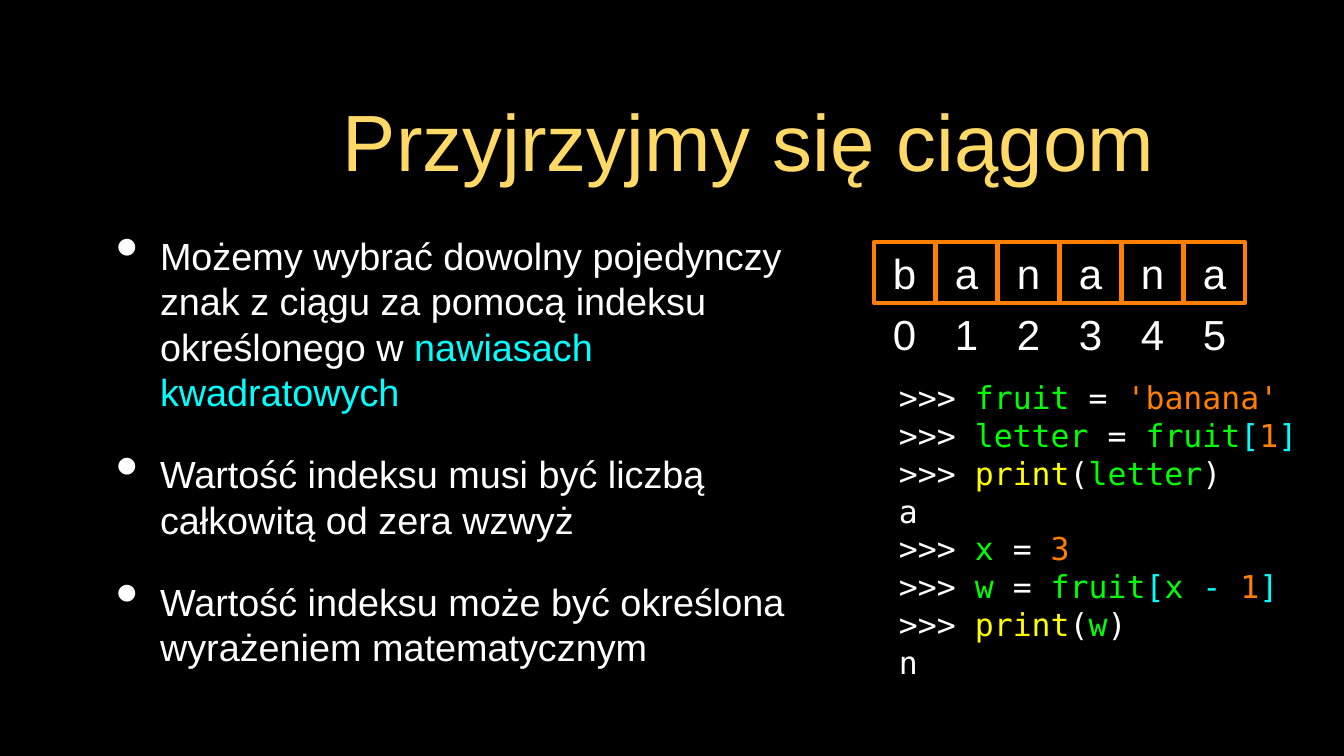
from lxml import etree
from pptx import Presentation
from pptx.dml.color import RGBColor
from pptx.enum.shapes import MSO_SHAPE
from pptx.enum.text import MSO_ANCHOR, PP_ALIGN
from pptx.oxml.ns import qn
from pptx.util import Pt

PX = 12095
LEFT, CENTER = PP_ALIGN.LEFT, PP_ALIGN.CENTER
MIDDLE = MSO_ANCHOR.MIDDLE
RECT = MSO_SHAPE.RECTANGLE
TITLE_ONLY = 5

SANS, MONO = "Arial", "DejaVu Sans Mono"
BLACK, WHITE, GOLD = "000000", "FFFFFF", "FFD966"
CYAN, GREEN, ORANGE, YELLOW = "00FFFF", "00FF00", "FF7F00", "FFFF00"

TITLE = "Przyjrzyjmy się ciągom"
POINTS = [
    [("Możemy wybrać dowolny pojedynczy znak z ciągu za pomocą indeksu określonego w", WHITE),
     (" nawiasach kwadratowych", CYAN)],
    [("Wartość indeksu musi być liczbą całkowitą od zera wzwyż", WHITE)],
    [("Wartość indeksu może być określona wyrażeniem matematycznym", WHITE)],
]
PROMPT, EQUALS = (">>> ", WHITE), (" = ", WHITE)
OPEN, CLOSE = ("(", WHITE), (")", WHITE)
PRINT, FRUIT = ("print", YELLOW), ("fruit", GREEN)
CODE = [
    [PROMPT, FRUIT, EQUALS, ("'banana'", ORANGE)],
    [PROMPT, ("letter", GREEN), EQUALS, FRUIT, ("[", CYAN), ("1", ORANGE), ("]", CYAN)],
    [PROMPT, PRINT, OPEN, ("letter", GREEN), CLOSE],
    [("a", WHITE)],
    [PROMPT, ("x", GREEN), EQUALS, ("3", ORANGE)],
    [PROMPT, ("w", GREEN), EQUALS, FRUIT, ("[", CYAN), ("x", GREEN), (" - ", CYAN),
     ("1", ORANGE), ("]", CYAN)],
    [PROMPT, PRINT, OPEN, ("w", GREEN), CLOSE],
    [("n", WHITE)],
]


def rgb(value):
    """Turn a hex string into a colour."""
    return RGBColor.from_string(value)


def px(*values):
    """Turn pixel lengths into EMU."""
    return [value * PX for value in values]


def add_bullet(p, hanging, indent):
    """Give a paragraph a large white bullet with a hanging indent."""
    pPr = p._p.get_or_add_pPr()
    pPr.set("marL", str(indent * PX))
    pPr.set("indent", str(-hanging * PX))
    clr = etree.SubElement(pPr, qn("a:buClr"))
    etree.SubElement(clr, qn("a:srgbClr"), val=WHITE)
    etree.SubElement(pPr, qn("a:buSzPct"), val="171000")
    etree.SubElement(pPr, qn("a:buChar"), char="•")


def write(sp, lines, size, font=SANS, align=LEFT, inset=0, leading=None, gap=0, bullet=False):
    """Fill a shape with lines made of (text, colour) runs."""
    tf = sp.text_frame
    tf.word_wrap = True
    tf.vertical_anchor = MIDDLE
    tf.margin_left = tf.margin_top = tf.margin_right = tf.margin_bottom = inset * PX
    for i, line in enumerate(lines):
        p = tf.add_paragraph() if i else tf.paragraphs[0]
        if bullet:
            add_bullet(p, 44, 62)
        p.alignment = align
        if leading:
            p.line_spacing = Pt(leading)
        if i and gap:
            p.space_before = Pt(gap)
        for text, color in line:
            r = p.add_run()
            r.text = text
            r.font.size = Pt(size)
            r.font.name = font
            r.font.color.rgb = rgb(color)


def add_title(s, x, y, w, h):
    """Place and format the title placeholder."""
    sp = s.shapes.title
    sp.left, sp.top, sp.width, sp.height = px(x, y, w, h)
    write(sp, [[(TITLE, GOLD)]], 76, align=CENTER, inset=3)


def add_points(s, x, y, w, h):
    """Add the bulleted explanation."""
    sp = s.shapes.add_textbox(*px(x, y, w, h))
    write(sp, POINTS, 36, inset=3, leading=43.2, gap=35, bullet=True)


def add_code(s, x, y, w, h):
    """Add the interpreter session."""
    sp = s.shapes.add_textbox(*px(x, y, w, h))
    write(sp, CODE, 30, font=MONO, leading=36)


def add_letter_cells(s, x, y, side, pitch, word):
    """Add a row of framed letters with their indexes below."""
    for i, letter in enumerate(word):
        left = x + i * pitch
        index = s.shapes.add_textbox(*px(left, y + side, side, side))
        write(index, [[(str(i), WHITE)]], 40, align=CENTER)
        cell = s.shapes.add_shape(RECT, *px(left, y, side, side))
        cell.shadow.inherit = False
        cell.fill.background()
        cell.line.color.rgb = rgb(ORANGE)
        cell.line.width = Pt(4)
        write(cell, [[(letter, WHITE)]], 40, align=CENTER)


def main():
    """Build and save the slide."""
    prs = Presentation()
    prs.slide_width, prs.slide_height = px(1344, 756)
    s = prs.slides.add_slide(prs.slide_layouts[TITLE_ONLY])
    s.background.fill.solid()
    s.background.fill.fore_color.rgb = rgb(BLACK)
    add_title(s, 250, 69, 997, 141)
    add_points(s, 95, 215, 728, 472)
    add_code(s, 899, 373, 404, 313)
    add_letter_cells(s, 874, 242, 61, 62, "banana")
    prs.save("out.pptx")


if __name__ == "__main__":
    main()
